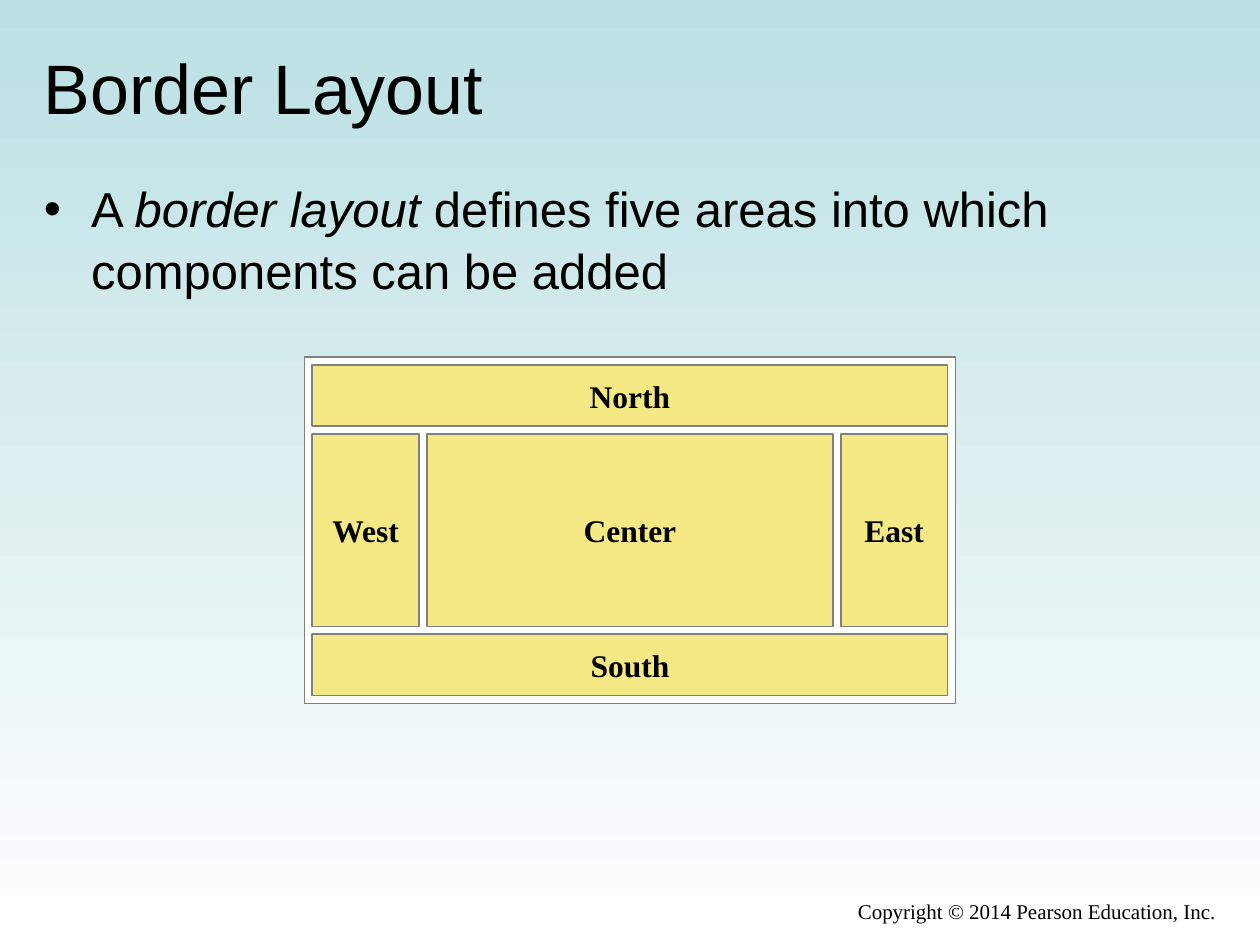
from typing import NamedTuple

from lxml.etree import SubElement
from pptx import Presentation
from pptx.dml.color import RGBColor
from pptx.enum.shapes import MSO_SHAPE
from pptx.enum.text import MSO_ANCHOR, PP_ALIGN
from pptx.oxml.ns import qn
from pptx.util import Pt

BLACK = RGBColor(0x00, 0x00, 0x00)
WHITE = RGBColor(0xFF, 0xFF, 0xFF)
GRAY = RGBColor(0x80, 0x80, 0x80)
YELLOW = RGBColor(0xF5, 0xE9, 0x85)
AQUA = RGBColor(0xBB, 0xE0, 0xE3)
SANS, SERIF = "Arial", "Times New Roman"

GAP = 4.5
BAND_H = 35
SIDE_W = 61


class Box(NamedTuple):
    left: float
    top: float
    width: float
    height: float


class Area(NamedTuple):
    name: str
    box: Box


PANEL = Box(174, 204, 372, 198)


def layout_areas(panel: Box) -> list[Area]:
    """Split the panel into five areas with equal gaps."""
    left, top = panel.left + GAP, panel.top + GAP
    width, height = panel.width - 2 * GAP, panel.height - 2 * GAP
    mid_top = top + BAND_H + GAP
    mid_h = height - 2 * (BAND_H + GAP)
    center_w = width - 2 * (SIDE_W + GAP)
    return [
        Area("North", Box(left, top, width, BAND_H)),
        Area("South", Box(left, top + height - BAND_H, width, BAND_H)),
        Area("Center", Box(left + SIDE_W + GAP, mid_top, center_w, mid_h)),
        Area("East", Box(left + width - SIDE_W, mid_top, SIDE_W, mid_h)),
        Area("West", Box(left, mid_top, SIDE_W, mid_h)),
    ]


def style(p, size: float, name: str, bold: bool = False) -> None:
    for r in p.runs:
        r.font.size = Pt(size)
        r.font.name = name
        r.font.bold = bold
        r.font.color.rgb = BLACK


def add_rect(shapes, box: Box, fill: RGBColor):
    sp = shapes.add_shape(MSO_SHAPE.RECTANGLE, *map(Pt, box))
    sp.shadow.inherit = False
    sp.fill.solid()
    sp.fill.fore_color.rgb = fill
    sp.line.color.rgb = GRAY
    sp.line.width = Pt(1)
    return sp


def add_area(shapes, area: Area) -> None:
    tf = add_rect(shapes, area.box, YELLOW).text_frame
    tf.word_wrap = False
    tf.vertical_anchor = MSO_ANCHOR.MIDDLE
    tf.text = area.name
    p = tf.paragraphs[0]
    p.alignment = PP_ALIGN.CENTER
    style(p, 18, SERIF, bold=True)


def add_text(s, box: Box):
    tf = s.shapes.add_textbox(*map(Pt, box)).text_frame
    tf.word_wrap = True
    return tf


def add_bullet(p) -> None:
    pPr = p._p.get_or_add_pPr()
    pPr.set("marL", str(Pt(27)))
    pPr.set("indent", str(-Pt(27)))
    SubElement(pPr, qn("a:buFont"), typeface=SANS)
    SubElement(pPr, qn("a:buChar"), char="•")


def main() -> None:
    prs = Presentation()
    prs.slide_width, prs.slide_height = Pt(720), Pt(540)
    s = prs.slides.add_slide(prs.slide_layouts[6])

    fill = s.background.fill
    fill.gradient()
    fill.gradient_angle = 270
    for stop, color in zip(fill.gradient_stops, (AQUA, WHITE)):
        stop.color.rgb = color

    tf = add_text(s, Box(18, 21.6, 690, 56))
    tf.vertical_anchor = MSO_ANCHOR.MIDDLE
    tf.text = "Border Layout"
    style(tf.paragraphs[0], 40, SANS)

    p = add_text(s, Box(18, 97, 690, 95)).paragraphs[0]
    add_bullet(p)
    p.line_spacing = 1.05
    for text in ("A ", "border layout",
                 " defines five areas into which components can be added"):
        p.add_run().text = text
    style(p, 28, SANS)
    p.runs[1].font.italic = True

    diagram = s.shapes.add_group_shape().shapes
    add_rect(diagram, PANEL, WHITE)
    for area in layout_areas(PANEL):
        add_area(diagram, area)

    tf = add_text(s, Box(264, 510, 438, 24))
    tf.text = "Copyright © 2014 Pearson Education, Inc."
    p = tf.paragraphs[0]
    p.alignment = PP_ALIGN.RIGHT
    style(p, 12, SERIF)

    prs.save("out.pptx")


if __name__ == "__main__":
    main()
